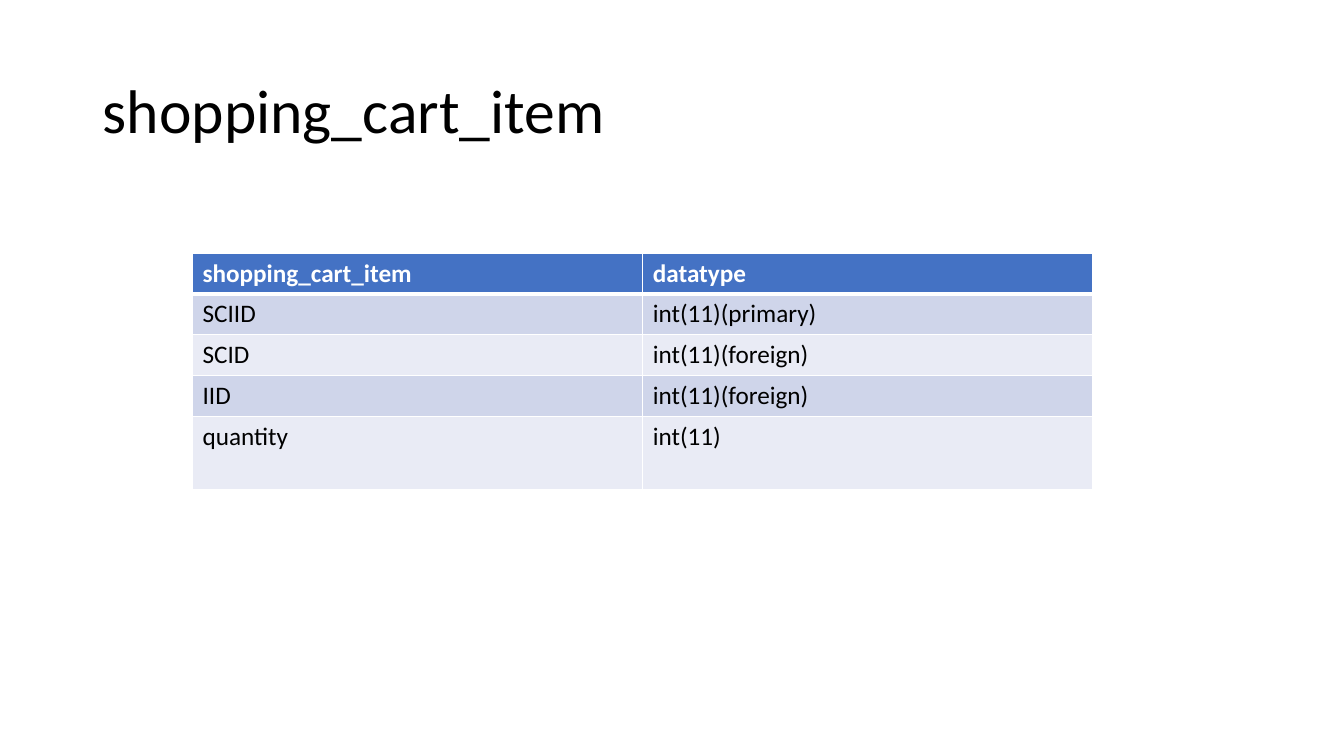
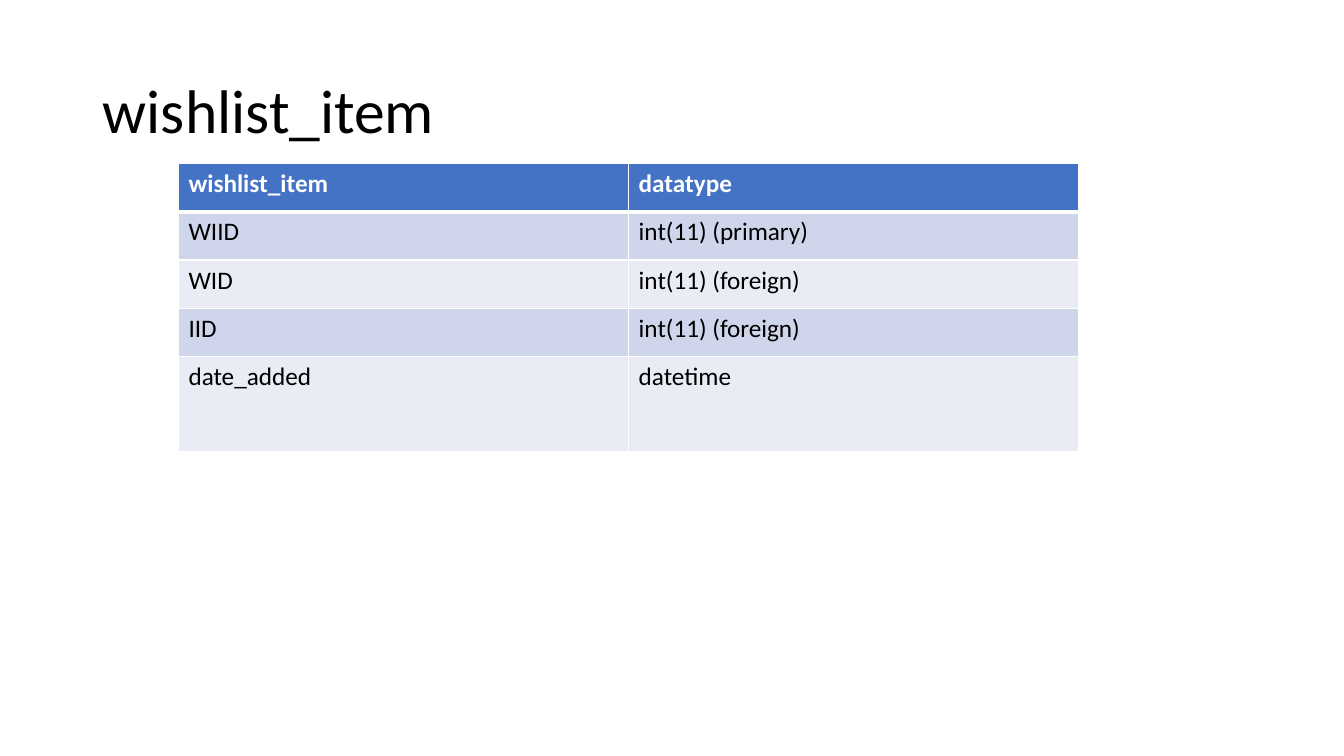
from dataclasses import dataclass

from lxml.etree import SubElement
from pptx import Presentation
from pptx.dml.color import RGBColor
from pptx.enum.text import MSO_ANCHOR, MSO_AUTO_SIZE, PP_ALIGN
from pptx.oxml.ns import qn
from pptx.util import Inches, Pt


@dataclass(frozen=True)
class Theme:
    """Colours, font and type sizes of the deck."""
    font: str = "Calibri"
    title: int = 44
    body: int = 18
    ink: str = "000000"
    white: str = "FFFFFF"
    head: str = "4472C4"
    bands: tuple = ("CFD5EA", "E9EBF5")
    thin: int = 1
    thick: int = 3


THEME = Theme()
COL_WIDTH = 4.465


def style(para, size, color, bold=False):
    """Set the font of a paragraph."""
    font = para.font
    font.name, font.size, font.bold = THEME.font, Pt(size), bold
    font.color.rgb = RGBColor.from_string(color)


def edge(cell, side, width):
    """Draw one white border of a cell."""
    props = cell._tc.get_or_add_tcPr()
    line = SubElement(props, qn(f"a:ln{side}"), w=str(Pt(width)))
    fill = SubElement(line, qn("a:solidFill"))
    SubElement(fill, qn("a:srgbClr"), val=THEME.white)


def fill_cell(cell, text, row):
    """Write a cell and style it as header or banded body."""
    header = row == 0
    cell.text = text
    style(cell.text_frame.paragraphs[0], THEME.body,
          THEME.white if header else THEME.ink, header)
    for side in "LRTB":
        rule = (side, row) in (("B", 0), ("T", 1))
        edge(cell, side, THEME.thick if rule else THEME.thin)
    color = THEME.head if header else THEME.bands[(row - 1) % 2]
    cell.fill.solid()
    cell.fill.fore_color.rgb = RGBColor.from_string(color)


def add_title(slide, text):
    """Place and format the slide title."""
    title = slide.shapes.title
    title.left, title.top = Inches(0.92), Inches(0.4)
    title.width, title.height = Inches(11.5), Inches(1.45)
    frame = title.text_frame
    frame.text = text
    frame.word_wrap = True
    frame.auto_size = MSO_AUTO_SIZE.NONE
    frame.vertical_anchor = MSO_ANCHOR.MIDDLE
    para = frame.paragraphs[0]
    para.alignment, para.line_spacing = PP_ALIGN.LEFT, 0.9
    style(para, THEME.title, THEME.ink)


def add_grid(slide, rows, left, top, height, last):
    """Add a two-column table whose last row is taller."""
    heights = [height] * (len(rows) - 1) + [last]
    table = slide.shapes.add_table(
        len(rows), 2, Inches(left), Inches(top),
        Inches(2 * COL_WIDTH), Inches(sum(heights))).table
    for col in table.columns:
        col.width = Inches(COL_WIDTH)
    for i, texts in enumerate(rows):
        table.rows[i].height = Inches(heights[i])
        for j, text in enumerate(texts):
            fill_cell(table.cell(i, j), text, i)


def add_schema(deck, name, fields, **place):
    """Add a slide that lists the fields of one database table."""
    slide = deck.slides.add_slide(deck.slide_layouts[5])
    add_title(slide, name)
    add_grid(slide, [(name, "datatype"), *fields], **place)


def main():
    """Build and save the deck."""
    deck = Presentation()
    deck.slide_width, deck.slide_height = Inches(13.33), Inches(7.5)
    add_schema(deck, "shopping_cart_item", [
        ("SCIID", "int(11)(primary)"),
        ("SCID", "int(11)(foreign)"),
        ("IID", "int(11)(foreign)"),
        ("quantity\u00a0", "int(11)"),
    ], left=1.91, top=2.51, height=0.405, last=0.73)
    add_schema(deck, "wishlist_item", [
        ("WIID", "int(11) (primary)"),
        ("WID", "int(11) (foreign)"),
        ("IID", "int(11) (foreign)"),
        ("date_added", "datetime"),
    ], left=1.77, top=1.62, height=0.48, last=0.94)
    deck.save("out.pptx")


if __name__ == "__main__":
    main()
